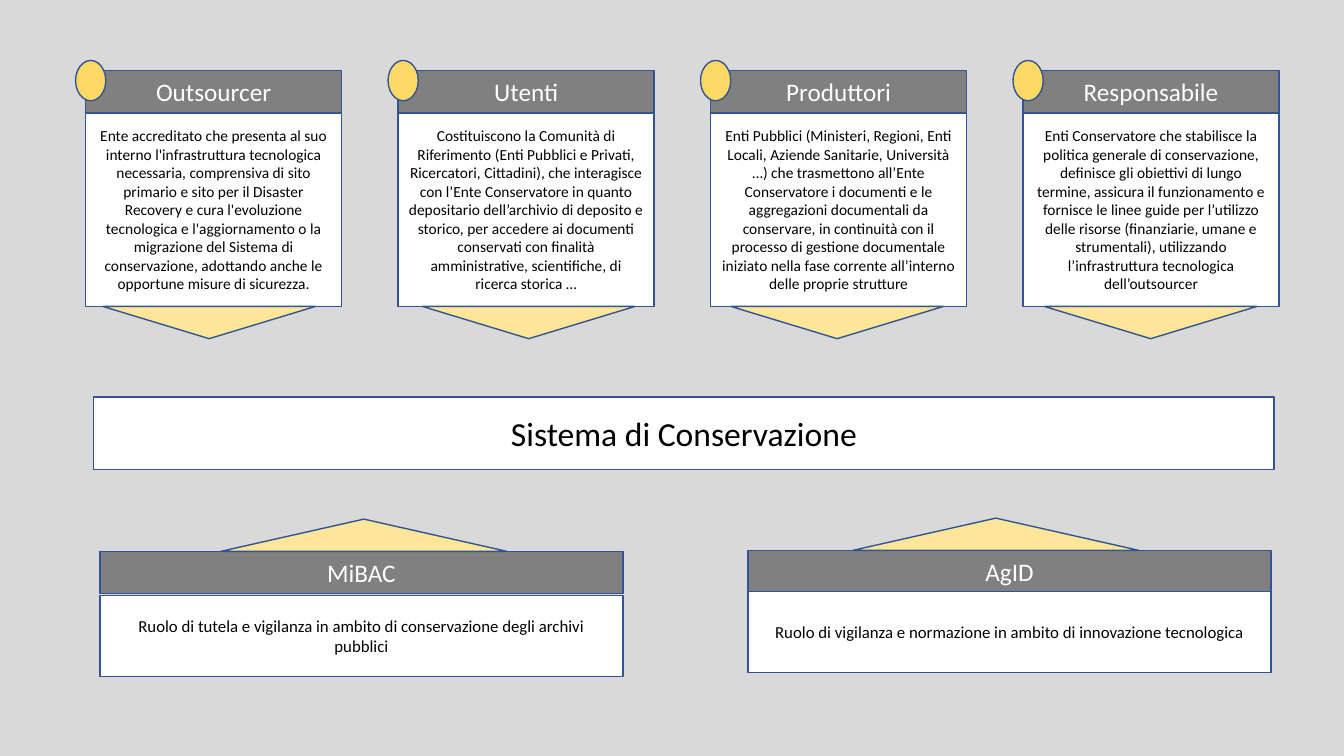
from dataclasses import dataclass

from pptx import Presentation
from pptx.dml.color import RGBColor
from pptx.enum.shapes import MSO_SHAPE as SHAPE
from pptx.enum.text import MSO_ANCHOR as ANCHOR, PP_ALIGN as ALIGN
from pptx.shapes.autoshape import Shape
from pptx.util import Pt

COLORS = {
    "background": "D9D9D9",
    "header": "808080",
    "white": "FFFFFF",
    "black": "000000",
    "line": "325491",
    "circle": "FFD966",
    "arrow": "FFE699",
}
FONT = "Calibri"
HEADER_H = 30.24
ARROW_H = 23.04

CARD_LEFT, CARD_TOP, CARD_PITCH = 61.2, 50.4, 223.2
CARD_W, CARD_BODY_H, CARD_ARROW_W = 182.88, 138.24, 151.92
CIRCLE_W, CIRCLE_H, CIRCLE_OFFSET = 21.6, 28.8, 7.2

BODY_W, BODY_H, BODY_ARROW_W = 373.68, 57.6, 204.48


@dataclass(frozen=True)
class Card:
    title: str
    text: str
    arrow_offset: float


@dataclass(frozen=True)
class Authority:
    title: str
    text: str
    left: float
    top: float
    text_top: float
    arrow_left: float


CARDS = [
    Card("Outsourcer",
         "Ente accreditato che presenta al suo interno l'infrastruttura tecnologica "
         "necessaria, comprensiva di sito primario e sito per il Disaster Recovery e "
         "cura l'evoluzione tecnologica e l'aggiornamento o la migrazione del Sistema "
         "di conservazione, adottando anche le opportune misure di sicurezza.", 12.24),
    Card("Utenti",
         "Costituiscono la Comunità di Riferimento (Enti Pubblici e Privati, "
         "Ricercatori, Cittadini), che interagisce con l’Ente Conservatore in quanto "
         "depositario dell’archivio di deposito e storico, per accedere ai documenti "
         "conservati con finalità amministrative, scientifiche, di ricerca storica …",
         17.28),
    Card("Produttori",
         "Enti Pubblici (Ministeri, Regioni, Enti Locali, Aziende Sanitarie, "
         "Università …) che trasmettono all’Ente Conservatore i documenti e le "
         "aggregazioni documentali da conservare, in continuità con il processo di "
         "gestione documentale iniziato nella fase corrente all’interno delle proprie "
         "strutture", 14.4),
    Card("Responsabile",
         "Enti Conservatore che stabilisce la politica generale di conservazione, "
         "definisce gli obiettivi di lungo termine, assicura il funzionamento e "
         "fornisce le linee guide per l’utilizzo delle risorse (finanziarie, umane e "
         "strumentali), utilizzando l’infrastruttura tecnologica dell’outsourcer",
         15.12),
]

AUTHORITIES = [
    Authority("MiBAC",
              "Ruolo di tutela e vigilanza in ambito di conservazione degli archivi "
              "pubblici", 71.28, 393.84, 425.52, 157.68),
    Authority("AgID",
              "Ruolo di vigilanza e normazione in ambito di innovazione tecnologica",
              534.24, 393.12, 422.64, 609.12),
]


def rgb(name: str) -> RGBColor:
    return RGBColor.from_string(COLORS[name])


def add_shape(shapes, kind: SHAPE, left: float, top: float, width: float,
              height: float, fill: str) -> Shape:
    sp = shapes.add_shape(kind, Pt(left), Pt(top), Pt(width), Pt(height))
    sp.shadow.inherit = False
    sp.fill.solid()
    sp.fill.fore_color.rgb = rgb(fill)
    sp.line.color.rgb = rgb("line")
    sp.line.width = Pt(1)
    return sp


def add_box(shapes, left: float, top: float, width: float, height: float,
            text: str, size: float, fill: str = "white", color: str = "black") -> None:
    sp = add_shape(shapes, SHAPE.RECTANGLE, left, top, width, height, fill)
    tf = sp.text_frame
    tf.word_wrap = True
    tf.vertical_anchor = ANCHOR.MIDDLE
    p = tf.paragraphs[0]
    p.text = text
    p.alignment = ALIGN.CENTER
    p.font.name = FONT
    p.font.size = Pt(size)
    p.font.color.rgb = rgb(color)


def add_header(shapes, left: float, top: float, width: float, title: str) -> None:
    add_box(shapes, left, top, width, HEADER_H, title, 18, "header", "white")


def add_arrow(shapes, left: float, top: float, width: float) -> Shape:
    return add_shape(shapes, SHAPE.ISOSCELES_TRIANGLE, left, top, width, ARROW_H, "arrow")


def add_card(shapes, card: Card, left: float) -> None:
    body_top = CARD_TOP + HEADER_H
    group = shapes.add_group_shape().shapes
    add_box(group, left, body_top, CARD_W, CARD_BODY_H, card.text, 11)
    add_header(group, left, CARD_TOP, CARD_W, card.title)
    add_shape(group, SHAPE.OVAL, left - CIRCLE_OFFSET, CARD_TOP - CIRCLE_OFFSET,
              CIRCLE_W, CIRCLE_H, "circle")
    arrow = add_arrow(group, left + card.arrow_offset, body_top + CARD_BODY_H, CARD_ARROW_W)
    arrow.rotation = 180


def add_authority(shapes, body: Authority) -> None:
    add_header(shapes, body.left, body.top, BODY_W, body.title)
    add_box(shapes, body.left, body.text_top, BODY_W, BODY_H, body.text, 12)
    add_arrow(shapes, body.arrow_left, body.top - ARROW_H, BODY_ARROW_W)


def main() -> None:
    prs = Presentation()
    prs.slide_width, prs.slide_height = Pt(960), Pt(540)
    s = prs.slides.add_slide(prs.slide_layouts[6])
    s.background.fill.solid()
    s.background.fill.fore_color.rgb = rgb("background")

    add_box(s.shapes, 66.96, 283.68, 843.12, 51.84, "Sistema di Conservazione", 24)
    for i, card in enumerate(CARDS):
        add_card(s.shapes, card, CARD_LEFT + i * CARD_PITCH)
    for body in AUTHORITIES:
        add_authority(s.shapes, body)
    prs.save("out.pptx")


if __name__ == "__main__":
    main()
